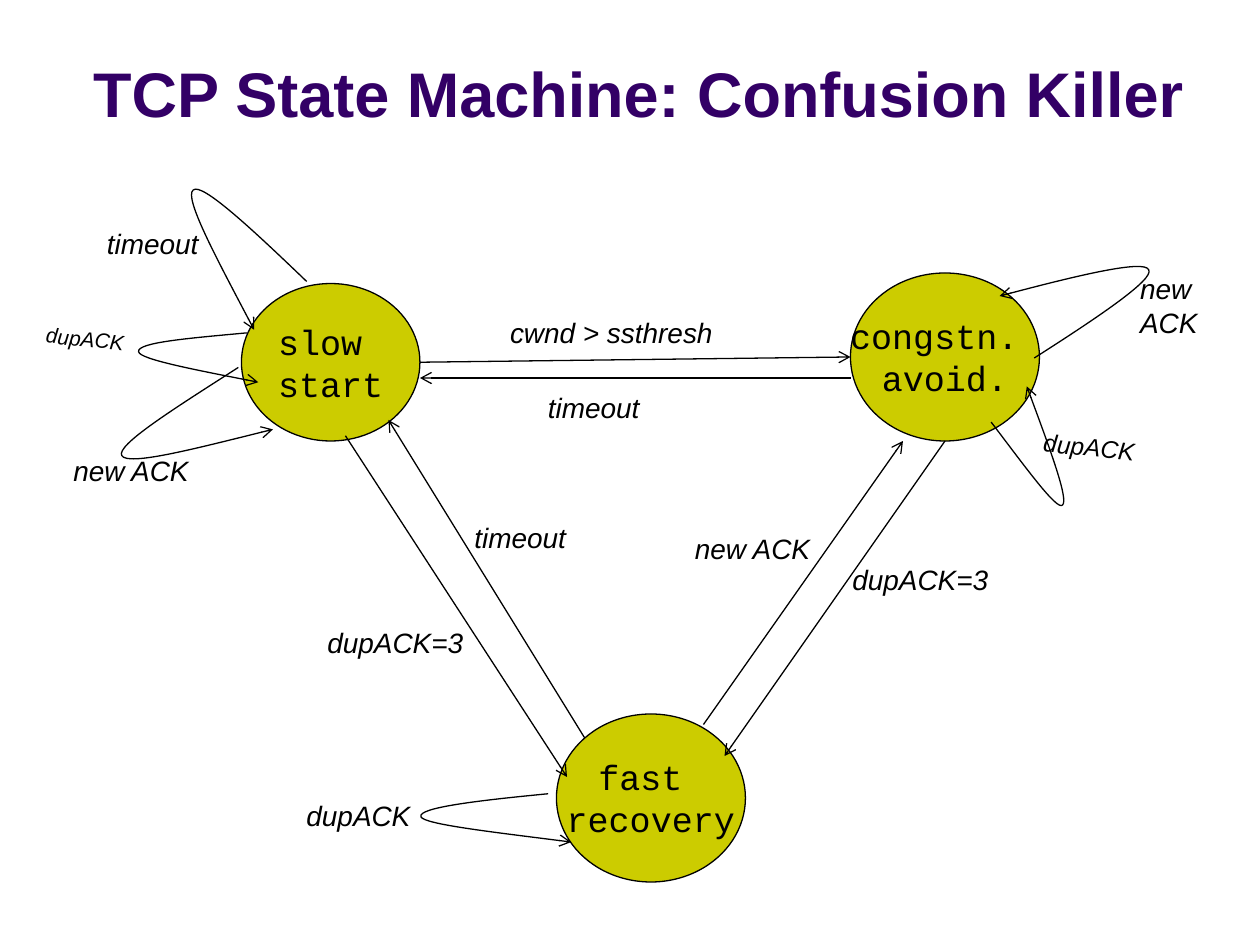
import pptx
import pptx.util
import pptx.dml.color
import pptx.enum.shapes
import pptx.enum.text
import pptx.oxml
import pptx.oxml.ns

COLORS = {"title": "330066", "state": "CCCC00", "ink": "000000"}
COLS, ROWS = 120, 90
WIDTHS = {"timeout": 11.9, "dupACK=3": 16.2, "new ACK": 14.2,
          "dupACK": 13.1, "cwnd > ssthresh": 22.6, "new \nACK": 8.6}


class Board:
    def __init__(self, deck):
        self.wide, self.high = deck.slide_width, deck.slide_height
        self.slide = deck.slides.add_slide(deck.slide_layouts[5])
        self.shapes = self.slide.shapes

    def place(self, *spans):
        units = (self.wide / COLS, self.high / ROWS)
        return [round(span * units[n % 2]) for n, span in enumerate(spans)]

    def color(self, name):
        return pptx.dml.color.RGBColor.from_string(COLORS[name])

    def letter(self, shape, text, size, face="Arial", ink="ink", bold=False, slant=False):
        para = shape.text_frame.paragraphs[0]
        para.text = text
        font = para.font
        font.name, font.size = face, pptx.util.Pt(size)
        font.bold, font.italic = bold, slant
        font.color.rgb = self.color(ink)
        return para

    def stroke(self, shape, width=None, arrow=False):
        shape.line.color.rgb = self.color("ink")
        if width:
            shape.line.width = pptx.util.Pt(width)
        if arrow:
            line = shape.line._get_or_add_ln()
            tip = pptx.oxml.parse_xml(
                f'<a:tailEnd {pptx.oxml.ns.nsdecls("a")} type="arrow"/>')
            line.append(tip)

    def title(self, text, *box):
        shape = self.shapes.title
        shape.left, shape.top, shape.width, shape.height = self.place(*box)
        frame = shape.text_frame
        frame.vertical_anchor = pptx.enum.text.MSO_ANCHOR.BOTTOM
        para = self.letter(shape, text, 36, ink="title", bold=True)
        para.alignment = pptx.enum.text.PP_ALIGN.CENTER

    def state(self, text, *box):
        shape = self.shapes.add_shape(
            pptx.enum.shapes.MSO_SHAPE.OVAL, *self.place(*box))
        shape.shadow.inherit = False
        shape.fill.solid()
        shape.fill.fore_color.rgb = self.color("state")
        self.stroke(shape, 0.75)
        shape.text_frame.word_wrap = False
        shape.text_frame.vertical_anchor = pptx.enum.text.MSO_ANCHOR.MIDDLE
        para = self.letter(shape, text, 20, "Courier New")
        para.alignment = pptx.enum.text.PP_ALIGN.CENTER

    def arrow(self, *ends):
        shape = self.shapes.add_connector(
            pptx.enum.shapes.MSO_CONNECTOR.STRAIGHT, *self.place(*ends))
        self.stroke(shape, 0.75, True)
        shape._element.spPr.append(pptx.oxml.parse_xml(
            f'<a:effectLst {pptx.oxml.ns.nsdecls("a")}/>'))

    def loop(self, *spots):
        flat = self.place(*spots)
        points = list(zip(flat[::2], flat[1::2]))
        pen = self.shapes.build_freeform(*points[0])
        pen.add_line_segments(points[1:], close=False)
        shape = pen.convert_to_shape()
        steps = shape._element.findall(".//" + pptx.oxml.ns.qn("a:lnTo"))
        for n in range(0, len(steps), 3):
            curve = pptx.oxml.parse_xml(
                f'<a:cubicBezTo {pptx.oxml.ns.nsdecls("a")}/>')
            steps[n].addprevious(curve)
            for step in steps[n:n + 3]:
                curve.append(step[0])
                step.getparent().remove(step)
        shape.shadow.inherit = False
        shape.fill.background()
        self.stroke(shape, arrow=True)

    def label(self, text, left, top, size=16, width=None, turn=0):
        rows = 0.6 + 0.237 * size * (1 + text.count("\n"))
        box = self.place(left, top, width or WIDTHS[text], rows)
        shape = self.shapes.add_textbox(*box)
        shape.rotation = turn
        frame = shape.text_frame
        frame.word_wrap = bool(width)
        frame.auto_size = pptx.enum.text.MSO_AUTO_SIZE.SHAPE_TO_FIT_TEXT
        self.letter(shape, text, size, slant=True)


def main():
    deck = pptx.Presentation()
    deck.slide_width = pptx.util.Inches(10)
    deck.slide_height = pptx.util.Inches(7.5)
    board = Board(deck)
    board.title(" TCP State Machine: Confusion Killer", 0, 1.6, COLS, 11.4)

    for state in (("slow \nstart", 23, 27, 17, 15),
                  ("congstn. \navoid.", 81, 26, 18, 16),
                  ("fast \nrecovery", 53, 68, 18, 16)):
        board.state(*state)

    for ends in ((40, 34.5, 81, 34), (81, 36, 40, 36),
                 (32.9, 41.5, 54, 74), (90, 42, 69, 72),
                 (67, 69, 86, 42), (55.7, 70.3, 37, 40)):
        board.arrow(*ends)

    for spots in (
            (52.2, 75.6, 46, 76.2, 39.7, 76.9, 40.1, 77.8,
             40.4, 78.5, 47.4, 79.3, 54.4, 80.2),
            (22.7, 35, 16.8, 38.8, 11, 42.4, 11.6, 43.4,
             12.2, 44.4, 19.1, 42.6, 26, 40.9),
            (29.2, 26.8, 24.2, 22, 19.2, 17.3, 18.4, 18.1,
             17.5, 18.8, 20.9, 25.1, 24.2, 31.4),
            (98.5, 34.1, 104.3, 30.4, 110, 26.6, 109.4, 25.7,
             109, 24.7, 102, 26.4, 95.2, 28.2),
            (23.5, 31.7, 18.2, 32.2, 13, 32.6, 13.2, 33.5,
             13.3, 34.2, 19, 35.3, 24.6, 36.4),
            (94.4, 40.2, 97.6, 44.4, 100.7, 48.7, 101.2, 48.1,
             101.8, 47.6, 99.8, 42.2, 97.8, 36.8)):
        board.loop(*spots)

    for label in (("cwnd > ssthresh", 47.4, 29.5), ("timeout", 51, 36.6),
                  ("dupACK=3", 30, 59), ("timeout", 44, 49),
                  ("dupACK=3", 80, 53), ("new ACK", 65, 50),
                  ("dupACK", 28, 75.5), ("new ACK", 5.8, 42.6),
                  ("timeout", 9, 21), ("new \nACK", 107.4, 25.3),
                  ("dupACK", 3.2, 30.5, 12, 10.6, 5.8),
                  ("dupACK", 98.2, 40.6, 14, 12, 5.8)):
        board.label(*label)

    deck.save("out.pptx")


if __name__ == "__main__":
    main()
